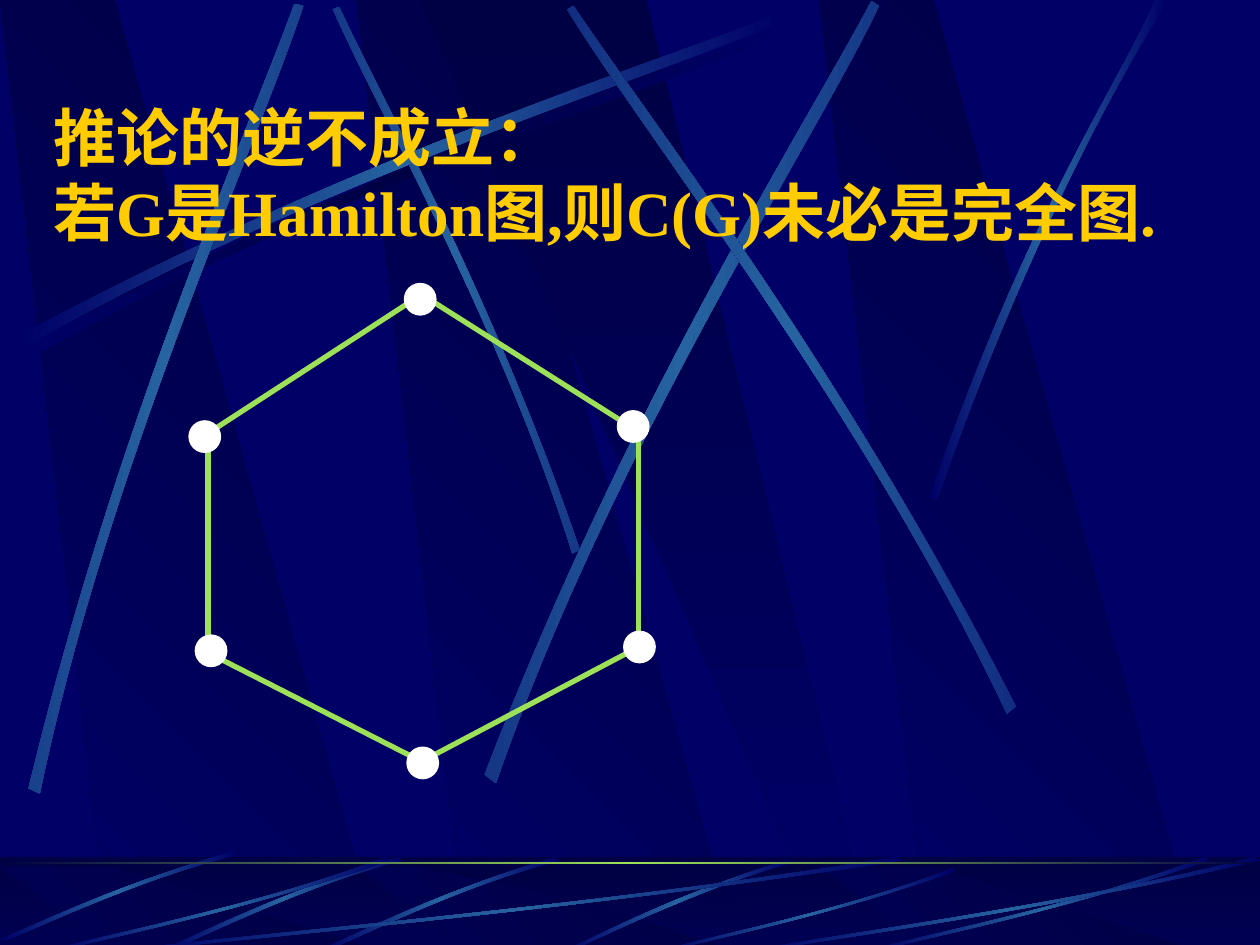
from copy import deepcopy
from math import cos, radians, sin

from lxml import etree
from pptx import Presentation
from pptx.dml.color import RGBColor
from pptx.enum.shapes import MSO_CONNECTOR, MSO_SHAPE
from pptx.enum.text import MSO_ANCHOR
from pptx.oxml.ns import qn
from pptx.util import Inches, Pt

LINE = MSO_CONNECTOR.STRAIGHT
RECTANGLE = MSO_SHAPE.RECTANGLE
OVAL = MSO_SHAPE.OVAL
MIDDLE = MSO_ANCHOR.MIDDLE
NIGHT, NAVY, STEEL = "000044", "000066", "2663A0"
GREEN, WHITE, GOLD = "9CE157", "FFFFFF", "FFCC00"
color = RGBColor.from_string

deck = Presentation()
deck.slide_width, deck.slide_height = Inches(10), Inches(7.5)
page = deck.slides.add_slide(deck.slide_layouts[6])
page.background.fill.solid()
page.background.fill.fore_color.rgb = color(NAVY)
shapes = page.shapes


def paint(shape, hexes, angle=0):
    shape.shadow.inherit = False
    shape.line.fill.background()
    if len(hexes) == 1:
        shape.fill.solid()
        shape.fill.fore_color.rgb = color(hexes[0])
        return
    shape.fill.gradient()
    shape.fill.gradient_angle = 360 - angle
    gradient = shape._element.spPr.find(qn("a:gradFill"))
    gradient.set("rotWithShape", "0")
    stop_list = gradient.find(qn("a:gsLst"))
    for _ in hexes[2:]:
        stop_list.append(deepcopy(stop_list[0]))
    for index, (stop, value) in enumerate(zip(shape.fill.gradient_stops, hexes)):
        stop.color.rgb = color(value)
        stop.position = index / (len(hexes) - 1)


def draw_outline(points, turn=0):
    xs, ys = zip(*points)
    mid_x, mid_y = (min(xs) + max(xs)) / 2, (min(ys) + max(ys)) / 2
    c, s = cos(radians(turn)), sin(radians(turn))
    upright = [
        (
            Inches(mid_x + (x - mid_x) * c + (y - mid_y) * s),
            Inches(mid_y - (x - mid_x) * s + (y - mid_y) * c),
        )
        for x, y in points
    ]
    builder = shapes.build_freeform(*upright[0])
    builder.add_line_segments(upright[1:], close=True)
    shape = builder.convert_to_shape()
    shape.rotation = turn
    return shape


SLABS = [
    ((3.69, 5.85, 3.74, 2.83), 135),
    ((0.86, 3.02, 0.91, 0), 135),
    ((7.36, 9.52, 7.41, 6.5), 135),
    ((6.58, 6.94, 5.13, 3.33), 90),
]

UPPER_STRANDS = [
    (0, NIGHT, [(0.2, 2.75), (2.84, 1.34), (5.24, 0.59), (6.26, 0.18),
                (6.29, 0.24), (5.28, 0.69), (2.54, 1.51), (0.23, 2.85)]),
    (45, STEEL, [(4.6, 4.36), (3.91, 2.34), (3.02, 0.77), (2.69, 0.05),
                 (2.64, 0.07), (2.95, 0.79), (3.98, 2.58), (4.54, 4.39)]),
    (0, STEEL, [(0.14, 2.67), (2.78, 1.25), (5.18, 0.51), (6.2, 0.1),
                (6.23, 0.16), (5.22, 0.61), (2.48, 1.43), (0.17, 2.77)]),
    (311.7, STEEL, [(0.23, 6.25), (0.93, 3.34), (1.97, 1.05), (2.34, 0.02),
                    (2.41, 0.04), (2.07, 1.09), (0.86, 3.68), (0.32, 6.29)]),
    (321.6, STEEL, [(3.85, 6.14), (4.98, 3.2), (6.38, 1.02), (6.92, 0),
                    (6.98, 0.04), (6.49, 1.08), (4.86, 3.55), (3.94, 6.21)]),
    (34.8, STEEL, [(8.06, 5.6), (6.7, 2.93), (5.16, 0.95), (4.55, 0.04),
                   (4.5, 0.07), (5.07, 1.01), (6.85, 3.25), (7.99, 5.66)]),
    (0, STEEL, [(7.38, 3.94), (8.14, 1.73), (8.88, 0.66), (9.17, 0),
                (9.27, 0), (8.36, 1.45), (7.69, 3.22), (7.44, 3.97)]),
]

LOWER_STRANDS = [
    (0, STEEL, [(6.27, 6.82), (5.37, 7.09), (4.77, 7.42), (4.48, 7.54),
                (4.53, 7.55), (4.9, 7.37), (5.71, 7), (6.28, 6.85)]),
]
STEEP_BLADE = [(0.99, 0), (0.53, 0.33), (0.16, 0.8), (0, 0.97),
               (0.01, 1), (0.17, 0.84), (0.58, 0.31), (1, 0.04)]
FLAT_BLADE = [(1, 0.04), (0.57, 0.57), (0.17, 0.85), (0.01, 1),
              (0, 0.98), (0.17, 0.81), (0.62, 0.51), (0.99, 0)]
for blade, turn, left, top, width, height in (
    (STEEP_BLADE, 314.9, 2.56, 6.8, 1.88, 0.75),
    (STEEP_BLADE, 314.9, 1.31, 6.8, 1.88, 0.75),
    (STEEP_BLADE, 314.9, 0.01, 6.76, 1.86, 0.71),
    (FLAT_BLADE, 0, 1, 6.8, 6.17, 0.75),
    (FLAT_BLADE, 0, 0.42, 6.8, 2.67, 0.75),
    (FLAT_BLADE, 0, 5.27, 6.89, 2.31, 0.66),
    (FLAT_BLADE, 0, 6.92, 6.8, 2.67, 0.75),
    (FLAT_BLADE, 0, 6, 6.8, 4, 0.75),
):
    knots = [(left + x * width, top + y * height) for x, y in blade]
    LOWER_STRANDS.append((turn, STEEL, knots))

BANDS = [
    (0, 7.52, UPPER_STRANDS),
    (6.88, 7.55, LOWER_STRANDS),
]
for top, bottom, strands in BANDS:
    if top:
        floor = shapes.add_shape(RECTANGLE, 0, Inches(6.8), Inches(10), Inches(0.75))
        paint(floor, [NIGHT, NAVY], 90)
    for xs, angle in SLABS:
        slab = draw_outline(list(zip(xs, (bottom, bottom, top, top))))
        paint(slab, [NIGHT, NAVY], angle)
    if top:
        veil = shapes.add_shape(RECTANGLE, 0, Inches(6.8), Inches(10), Inches(0.75))
        paint(veil, [NIGHT])
        tint = veil._element.spPr.find(qn("a:solidFill"))[0]
        etree.SubElement(tint, qn("a:alpha")).set("val", "50000")
    for turn, core, knots in strands:
        strand = draw_outline(knots, turn)
        segments = list(strand._element.iter(qn("a:lnTo")))
        for first in (0, 4):
            curve = etree.Element(qn("a:cubicBezTo"))
            segments[first].addprevious(curve)
            for segment in segments[first:first + 3]:
                curve.append(segment[0])
                segment.getparent().remove(segment)
        paint(strand, [NAVY, core, NAVY], 180)

rule = shapes.add_shape(RECTANGLE, 0, Inches(6.84), Inches(10), Inches(0.02))
paint(rule, [NIGHT, GREEN, NIGHT], 180)

EDGES = [
    (1.65, 3.43, 1.65, 5.18),
    (3.28, 2.38, 1.68, 3.42),
    (5.04, 5.15, 3.41, 6.01),
    (3.35, 2.34, 5.01, 3.39),
    (1.65, 5.18, 3.28, 6.01),
    (5.07, 3.34, 5.07, 5.09),
]
for ends in EDGES:
    edge = shapes.add_connector(LINE, *map(Inches, ends))
    edge.line.color.rgb = color(GREEN)
    edge.line.width = Pt(3)
    etree.SubElement(edge._element.spPr, qn("a:effectLst"))

VERTICES = [(3.23, 5.93), (4.95, 5.01), (4.9, 3.26), (3.21, 2.25), (1.5, 3.34), (1.55, 5.04)]
for left, top in VERTICES:
    vertex = shapes.add_shape(OVAL, Inches(left), Inches(top), Inches(0.25), Inches(0.25))
    paint(vertex, [WHITE])
    vertex.line.color.rgb = color(WHITE)
    vertex.line.width = Pt(0.75)

title = shapes.add_textbox(Inches(0.33), Inches(0.43), Inches(9.25), Inches(1.9))
frame = title.text_frame
frame.word_wrap = True
frame.vertical_anchor = MIDDLE
para = frame.paragraphs[0]
para.text = "推论的逆不成立：\v若G是Hamilton图,则C(G)未必是完全图."
FONT = {"name": "Times New Roman", "size": Pt(36), "bold": True}
for span in para.runs:
    for key, value in FONT.items():
        setattr(span.font, key, value)
    span.font.color.rgb = color(GOLD)

deck.save("out.pptx")
